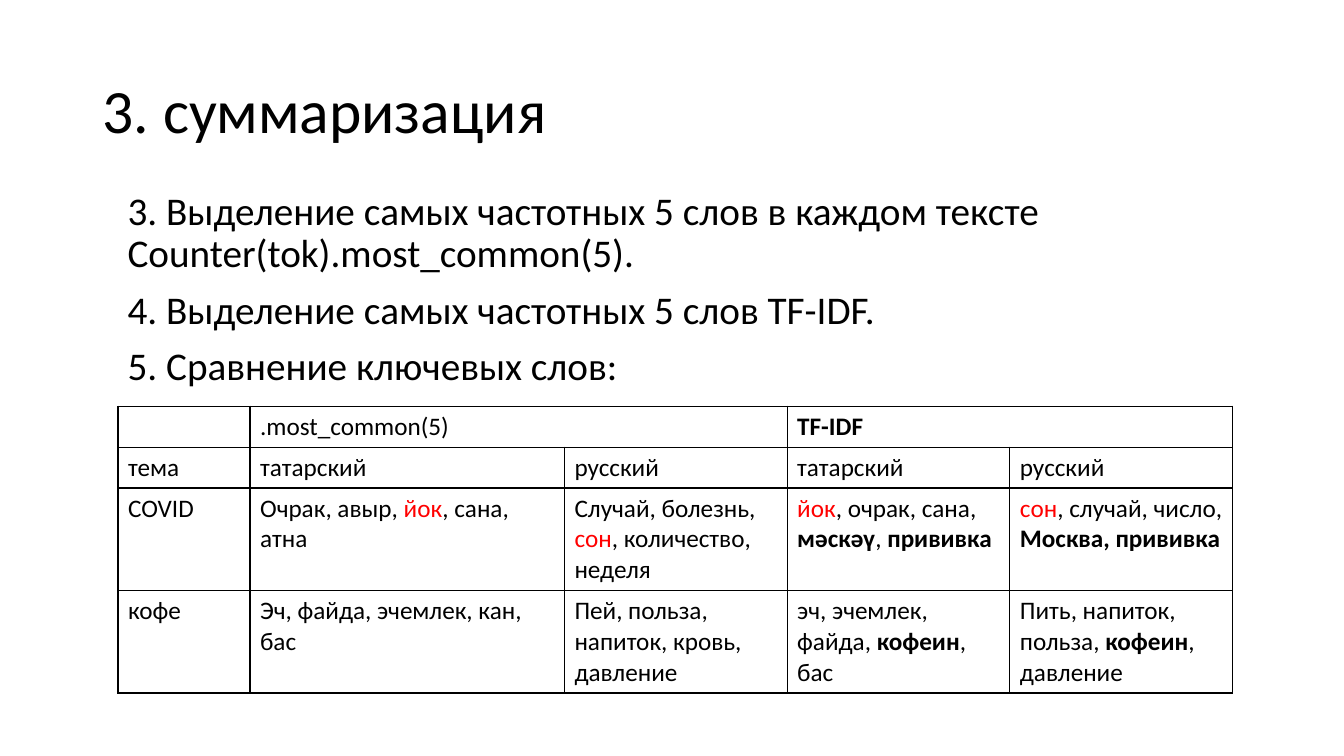
"""Build the summarization slide with a keyword comparison table."""
from lxml import etree
from pptx import Presentation
from pptx.dml.color import RGBColor
from pptx.enum.text import MSO_ANCHOR, MSO_AUTO_SIZE, PP_ALIGN
from pptx.oxml.ns import qn
from pptx.util import Pt

LEFT, MIDDLE, TOP = PP_ALIGN.LEFT, MSO_ANCHOR.MIDDLE, MSO_ANCHOR.TOP
FIXED_SIZE = MSO_AUTO_SIZE.NONE
FONT, BLACK, RED = "Calibri", "000000", "FF0000"
PLAIN, BOLD, SHARED = (BLACK, False), (BLACK, True), (RED, False)

TITLE = "3. суммаризация"
STEPS = [
    "3. Выделение самых частотных 5 слов в каждом тексте Counter(tok).most_common(5).",
    "4. Выделение самых частотных 5 слов TF-IDF.",
    "5. Сравнение ключевых слов:",
]
KEYWORDS = [
    ["", ".most_common(5)", "", [("TF-IDF", BOLD)], ""],
    ["тема", "татарский", "русский", "татарский", "русский"],
    [
        "COVID",
        [("Очрак, авыр, ", PLAIN), ("йок", SHARED), (", сана, атна", PLAIN)],
        [("Случай, болезнь, ", PLAIN), ("сон", SHARED), (", количество, неделя", PLAIN)],
        [("йок", SHARED), (", очрак, сана, ", PLAIN), ("мәскәү", BOLD), (", ", PLAIN),
         ("прививка", BOLD)],
        [("сон", SHARED), (", случай, число, ", PLAIN), ("Москва, прививка", BOLD)],
    ],
    [
        "кофе",
        "Эч, файда, эчемлек, кан, бас",
        "Пей, польза, напиток, кровь, давление",
        [("эч, эчемлек, файда, ", PLAIN), ("кофеин", BOLD), (", бас", PLAIN)],
        [("Пить, напиток, польза, ", PLAIN), ("кофеин", BOLD), (", давление", PLAIN)],
    ],
]
COLUMN_WIDTHS = [94.3, 224.6, 159.1, 159.1, 159.1]
ROW_HEIGHTS = [29.2, 29.2, 73.2, 73.2]
HEADER_SPANS = [(1, 2), (3, 4)]
TITLE_BOX = (66, 28.8, 828, 104.4)
BODY_BOX = (84, 133.2, 748, 314.6)
TABLE_LEFT, TABLE_TOP = 84.3, 290.2


def color(hex_value):
    return RGBColor.from_string(hex_value)


def format_run(run, size, hex_value=BLACK, bold=False):
    run.font.name = FONT
    run.font.size = Pt(size)
    run.font.bold = bold
    run.font.color.rgb = color(hex_value)


def place(shape, box):
    shape.left, shape.top, shape.width, shape.height = map(Pt, box)


def fill_placeholder(shape, box, lines, size, anchor, space_before):
    place(shape, box)
    frame = shape.text_frame
    frame.text = "\n".join(lines)
    frame.auto_size = FIXED_SIZE
    frame.word_wrap = True
    frame.vertical_anchor = anchor
    for paragraph in frame.paragraphs:
        paragraph.alignment = LEFT
        paragraph.line_spacing = 0.9
        paragraph.space_before = Pt(space_before)
        properties = paragraph._p.get_or_add_pPr()
        properties.set("marL", "0")
        properties.set("indent", "0")
        etree.SubElement(properties, qn("a:buNone"))
        for run in paragraph.runs:
            format_run(run, size)


def add_borders(cell):
    properties = cell._tc.get_or_add_tcPr()
    for side in ("a:lnL", "a:lnR", "a:lnT", "a:lnB"):
        line = etree.SubElement(properties, qn(side), w=str(Pt(1)))
        solid = etree.SubElement(line, qn("a:solidFill"))
        etree.SubElement(solid, qn("a:srgbClr"), val=BLACK)


def fill_cell(cell, content):
    add_borders(cell)
    cell.fill.background()
    parts = [(content, PLAIN)] if isinstance(content, str) else content
    paragraph = cell.text_frame.paragraphs[0]
    for text, (hex_value, bold) in parts:
        if text:
            run = paragraph.add_run()
            run.text = text
            format_run(run, 18, hex_value, bold)


def add_keyword_table(slide):
    frame = slide.shapes.add_table(
        len(ROW_HEIGHTS), len(COLUMN_WIDTHS), Pt(TABLE_LEFT), Pt(TABLE_TOP),
        Pt(sum(COLUMN_WIDTHS)), Pt(sum(ROW_HEIGHTS)))
    table = frame.table
    table.first_row = table.horz_banding = False
    for column, width in zip(table.columns, COLUMN_WIDTHS):
        column.width = Pt(width)
    for row, height, contents in zip(table.rows, ROW_HEIGHTS, KEYWORDS):
        row.height = Pt(height)
        for cell, content in zip(row.cells, contents):
            fill_cell(cell, content)
    for first, last in HEADER_SPANS:
        table.cell(0, first).merge(table.cell(0, last))


def main():
    presentation = Presentation()
    presentation.slide_width, presentation.slide_height = Pt(960), Pt(540)
    slide = presentation.slides.add_slide(presentation.slide_layouts[1])
    fill_placeholder(slide.shapes.title, TITLE_BOX, [TITLE], 44, MIDDLE, 0)
    fill_placeholder(slide.placeholders[1], BODY_BOX, STEPS, 28, TOP, 10)
    add_keyword_table(slide)
    presentation.save("out.pptx")


if __name__ == "__main__":
    main()
